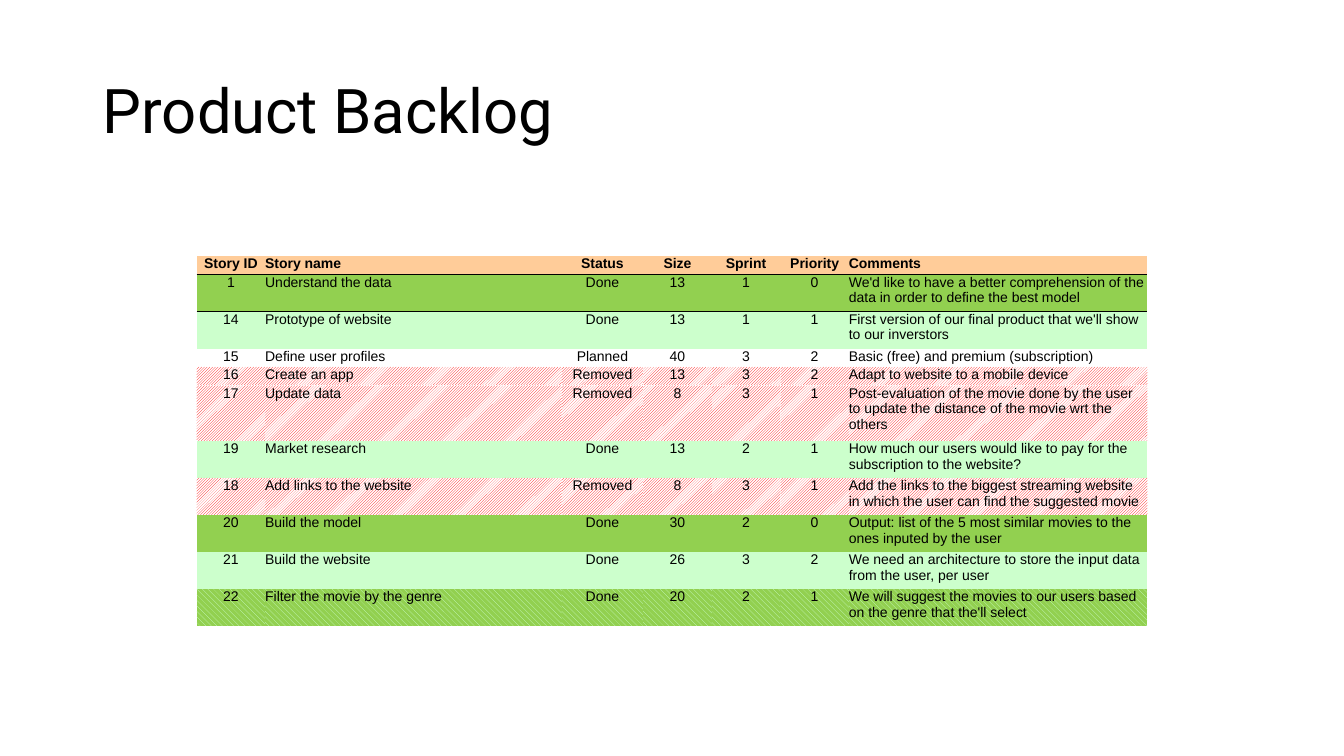
from dataclasses import dataclass

from lxml import etree
from pptx import Presentation
from pptx.dml.color import RGBColor as Rgb
from pptx.enum.dml import MSO_PATTERN as Pattern
from pptx.enum.text import MSO_ANCHOR as Anchor, PP_ALIGN as Align
from pptx.oxml.ns import qn
from pptx.util import Inches, Pt


@dataclass(frozen=True)
class Theme:
    title_font: str = "Roboto"
    table_font: str = "Arial"
    title_size: int = 44
    table_size: int = 10
    ink: str = "000000"
    header: str = "FFCC99"
    green: str = "92D050"
    mint: str = "CCFFCC"
    red: str = "FF0000"
    white: str = "FFFFFF"


THEME = Theme()
PLAIN_TABLE_STYLE = "{2D5ABB26-0587-4C30-8999-92F81FD0307C}"
LINE_HEIGHT = 3.67 / 20  # the table is twenty text lines tall

# A row look is a colour, a (pattern, front, back) triple, or None
REMOVED = (Pattern.LIGHT_UPWARD_DIAGONAL, THEME.red, THEME.white)
HATCHED = (Pattern.WIDE_DOWNWARD_DIAGONAL, THEME.mint, THEME.green)

# Heading, width in inches, alignment
COLUMNS = [
    ("Story ID", 0.68, Align.CENTER),
    ("Story name", 2.94, Align.LEFT),
    ("Status", 0.81, Align.CENTER),
    ("Size", 0.68, Align.CENTER),
    ("Sprint", 0.68, Align.CENTER),
    ("Priority", 0.68, Align.CENTER),
    ("Comments", 2.96, Align.LEFT),
]

# Look, height in text lines, cell values
STORIES = [
    (THEME.green, 2, (1, "Understand the data", "Done", 13, 1, 0,
     "We'd like to have a better comprehension of the data in order to define the best model")),
    (THEME.mint, 2, (14, "Prototype of website", "Done", 13, 1, 1,
     "First version of our final product that we'll show to our inverstors")),
    (None, 1, (15, "Define user profiles", "Planned", 40, 3, 2,
     "Basic (free) and premium (subscription)")),
    (REMOVED, 1, (16, "Create an app", "Removed", 13, 3, 2,
     "Adapt to website to a mobile device")),
    (REMOVED, 3, (17, "Update data", "Removed", 8, 3, 1,
     "Post-evaluation of the movie done by the user to update the distance of the movie wrt the others")),
    (THEME.mint, 2, (19, "Market research", "Done", 13, 2, 1,
     "How much our users would like to pay for the subscription to the website?")),
    (REMOVED, 2, (18, "Add links to the website", "Removed", 8, 3, 1,
     "Add the links to the biggest streaming website in which the user can find the suggested movie")),
    (THEME.green, 2, (20, "Build the model", "Done", 30, 2, 0,
     "Output: list of the 5 most similar movies to the ones inputed by the user")),
    (THEME.mint, 2, (21, "Build the website", "Done", 26, 3, 2,
     "We need an architecture to store the input data from the user, per user")),
    (HATCHED, 2, (22, "Filter the movie by the genre", "Done", 20, 2, 1,
     "We will suggest the movies to our users based on the genre that the'll select")),
]


def style_font(font, name, size, bold=False):
    font.name, font.size, font.bold = name, Pt(size), bold
    font.color.rgb = Rgb.from_string(THEME.ink)


def add_title(page, text):
    title = page.shapes.title
    title.left, title.top = Inches(0.92), Inches(0.4)
    title.width, title.height = Inches(11.5), Inches(1.45)
    title.text_frame.text = text
    title.text_frame.vertical_anchor = Anchor.MIDDLE
    para = title.text_frame.paragraphs[0]
    para.alignment, para.line_spacing = Align.LEFT, 0.9
    style_font(para.font, THEME.title_font, THEME.title_size)


def fill_cell(cell, look):
    if look is None:
        cell.fill.background()
    elif isinstance(look, str):
        cell.fill.solid()
        cell.fill.fore_color.rgb = Rgb.from_string(look)
    else:
        pattern, front, back = look
        cell.fill.patterned()
        cell.fill.pattern = pattern
        cell.fill.fore_color.rgb = Rgb.from_string(front)
        cell.fill.back_color.rgb = Rgb.from_string(back)


def add_border(cell, side):
    line = etree.Element(qn(f"a:ln{side}"), w=str(Pt(1)))
    paint = etree.SubElement(line, qn("a:solidFill"))
    etree.SubElement(paint, qn("a:srgbClr"), val=THEME.ink)
    # Borders stand before the fill
    cell._tc.get_or_add_tcPr().insert(0, line)


def write_cell(cell, value, alignment, look, bold):
    cell.margin_left = cell.margin_right = cell.margin_top = cell.margin_bottom = 0
    cell.text = str(value)
    para = cell.text_frame.paragraphs[0]
    para.alignment = alignment
    style_font(para.font, THEME.table_font, THEME.table_size, bold)
    fill_cell(cell, look)


def add_backlog(page):
    headings, widths, alignments = zip(*COLUMNS)
    rows = [(THEME.header, 1, headings)] + STORIES
    height = LINE_HEIGHT * sum(lines for _, lines, _ in rows)
    frame = page.shapes.add_table(len(rows), len(COLUMNS), Inches(1.95), Inches(2.54),
                                  Inches(sum(widths)), Inches(height))
    table = frame.table
    table.horz_banding = False
    table._tbl.tblPr.find(qn("a:tableStyleId")).text = PLAIN_TABLE_STYLE
    for column, width in zip(table.columns, widths):
        column.width = Inches(width)
    for index, (look, lines, values) in enumerate(rows):
        table.rows[index].height = Inches(LINE_HEIGHT * lines)
        for cell, value, alignment in zip(table.rows[index].cells, values, alignments):
            write_cell(cell, value, alignment, look, bold=index == 0)
            # Rule between the heading and the first story
            if index < 2:
                add_border(cell, "BT"[index])


def main():
    deck = Presentation()
    deck.slide_width, deck.slide_height = Inches(13.33), Inches(7.5)
    page = deck.slides.add_slide(deck.slide_layouts[5])
    add_title(page, "Product Backlog")
    add_backlog(page)
    deck.save("out.pptx")


if __name__ == "__main__":
    main()
